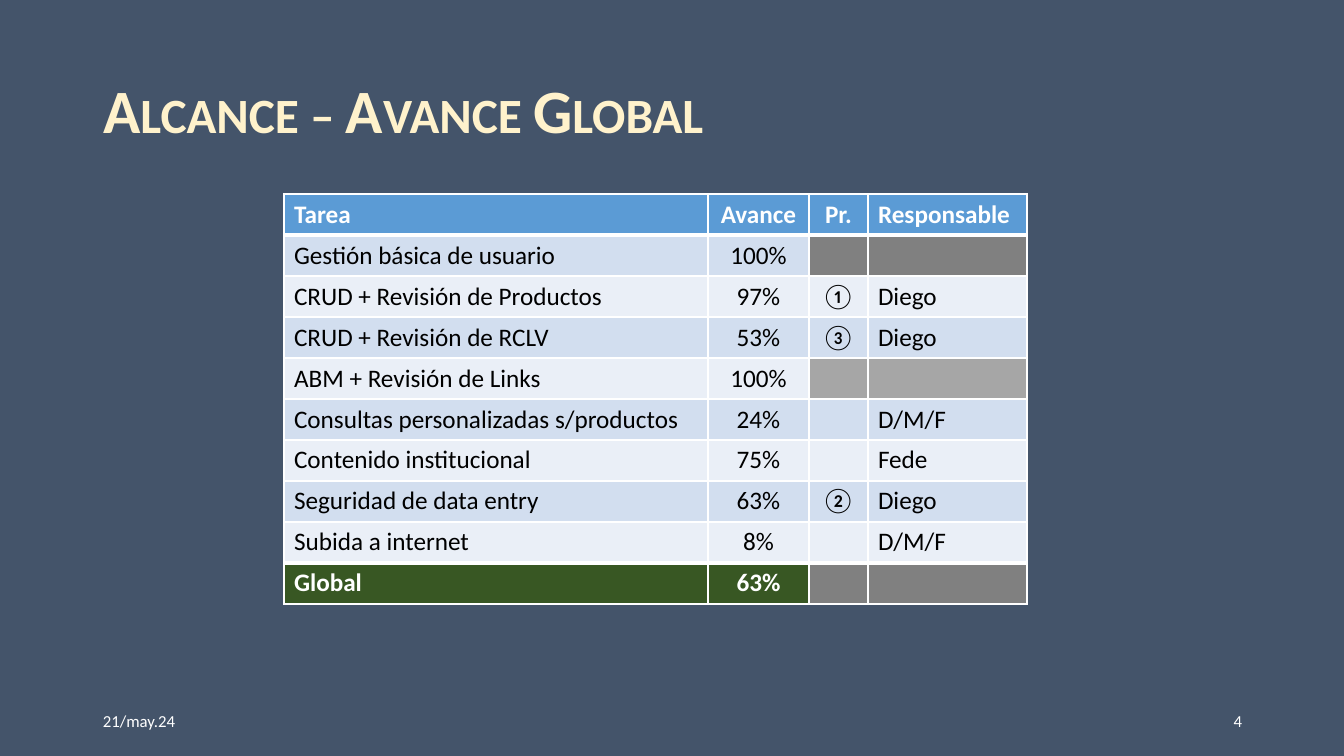
from dataclasses import dataclass
from typing import Optional

from lxml import etree
from pptx import Presentation
from pptx.dml.color import RGBColor
from pptx.enum.text import MSO_ANCHOR, MSO_AUTO_SIZE, PP_ALIGN
from pptx.oxml.ns import qn
from pptx.util import Emu, Pt

LEFT, CENTER, RIGHT = PP_ALIGN.LEFT, PP_ALIGN.CENTER, PP_ALIGN.RIGHT
MIDDLE = MSO_ANCHOR.MIDDLE
GROW = MSO_AUTO_SIZE.SHAPE_TO_FIT_TEXT

EMU_PER_PX = 914400 / 100.8
FONT = "Calibri"

SLATE = RGBColor(0x44, 0x54, 0x6A)
CREAM = RGBColor(0xFF, 0xF2, 0xCC)
WHITE = RGBColor(0xFF, 0xFF, 0xFF)
BLACK = RGBColor(0x00, 0x00, 0x00)
BLUE = RGBColor(0x5B, 0x9B, 0xD5)
BAND_DARK = RGBColor(0xD2, 0xDE, 0xEF)
BAND_LIGHT = RGBColor(0xEA, 0xEF, 0xF7)
GREEN = RGBColor(0x38, 0x57, 0x23)
GRAY = RGBColor(0x80, 0x80, 0x80)
GRAY_LIGHT = RGBColor(0xA6, 0xA6, 0xA6)

COL_WIDTHS = (424, 101, 59, 159)
COL_ALIGNS = (LEFT, CENTER, CENTER, LEFT)
ROW_HEIGHT = 41
THIN, THICK = 1, 3


@dataclass
class Row:
    texts: tuple[str, str, str, str]
    fill: Optional[RGBColor] = None
    closed: Optional[RGBColor] = None
    color: RGBColor = BLACK
    bold: bool = False


@dataclass
class Label:
    text: str
    x: int
    align: PP_ALIGN


ROWS = [
    Row(("Tarea", "Avance", "Pr.", "Responsable"), BLUE, color=WHITE, bold=True),
    Row(("Gestión básica de usuario", "100%", "", ""), closed=GRAY),
    Row(("CRUD + Revisión de Productos", "97%", "①", "Diego")),
    Row(("CRUD + Revisión de RCLV", "53%", "③", "Diego")),
    Row(("ABM + Revisión de Links", "100%", "", ""), closed=GRAY_LIGHT),
    Row(("Consultas personalizadas s/productos", "24%", "", "D/M/F")),
    Row(("Contenido institucional", "75%", "", "Fede")),
    Row(("Seguridad de data entry", "63%", "②", "Diego")),
    Row(("Subida a internet", "8%", "", "D/M/F")),
    Row(("Global", "63%", "", ""), GREEN, GRAY, WHITE, True),
]

LABELS = [Label("4", 950, RIGHT), Label("21/may.24", 93, LEFT)]


def px(n: int) -> Emu:
    return Emu(round(n * EMU_PER_PX))


def write(tf, text: str, *, size: int, color: RGBColor, bold: bool = False,
          align: PP_ALIGN = LEFT, small_caps: bool = False,
          line_spacing: Optional[float] = None) -> None:
    p = tf.paragraphs[0]
    p.alignment = align
    p.line_spacing = line_spacing
    r = p.add_run()
    r.text = text
    r.font.name = FONT
    r.font.size = Pt(size)
    r.font.bold = bold
    r.font.color.rgb = color
    if small_caps:
        r._r.get_or_add_rPr().set("cap", "small")


def set_border(cell, side: str, width: int) -> None:
    ln = etree.SubElement(cell._tc.get_or_add_tcPr(), qn(f"a:ln{side}"), w=str(Pt(width)))
    fill = etree.SubElement(ln, qn("a:solidFill"))
    etree.SubElement(fill, qn("a:srgbClr"), val=str(WHITE))


def edge_width(edge: int) -> int:
    return THICK if edge in (1, len(ROWS) - 1) else THIN


def add_title(s) -> None:
    title = s.shapes.title
    title.left, title.top, title.width, title.height = px(93), px(75), px(1159), px(78)
    tf = title.text_frame
    tf.word_wrap = True
    tf.auto_size = GROW
    tf.vertical_anchor = MIDDLE
    write(tf, "Alcance – Avance Global", size=44, color=CREAM, bold=True,
          small_caps=True, line_spacing=0.9)


def add_progress_table(s) -> None:
    frame = s.shapes.add_table(len(ROWS), len(COL_WIDTHS), px(284), px(194),
                               px(sum(COL_WIDTHS)), px(ROW_HEIGHT * len(ROWS)))
    table = frame.table
    for column, width in zip(table.columns, COL_WIDTHS):
        column.width = px(width)
    for i, row in enumerate(ROWS):
        table.rows[i].height = px(ROW_HEIGHT)
        base = row.fill or (BAND_DARK if i % 2 else BAND_LIGHT)
        for j, (text, align) in enumerate(zip(row.texts, COL_ALIGNS)):
            cell = table.cell(i, j)
            set_border(cell, "L", THIN)
            set_border(cell, "R", THIN)
            set_border(cell, "T", edge_width(i))
            set_border(cell, "B", edge_width(i + 1))
            cell.fill.solid()
            cell.fill.fore_color.rgb = row.closed if row.closed and j >= 2 else base
            if text:
                write(cell.text_frame, text, size=18, color=row.color,
                      bold=row.bold, align=align)


def add_label(s, label: Label) -> None:
    sp = s.shapes.add_textbox(px(label.x), px(701), px(302), px(40))
    tf = sp.text_frame
    tf.word_wrap = True
    tf.vertical_anchor = MIDDLE
    write(tf, label.text, size=12, color=WHITE, align=label.align)


def main() -> None:
    prs = Presentation()
    prs.slide_width, prs.slide_height = px(1344), px(756)
    s = prs.slides.add_slide(prs.slide_layouts.get_by_name("Title Only"))
    s.background.fill.solid()
    s.background.fill.fore_color.rgb = SLATE
    add_title(s)
    add_progress_table(s)
    for label in LABELS:
        add_label(s, label)
    prs.save("out.pptx")


if __name__ == "__main__":
    main()
